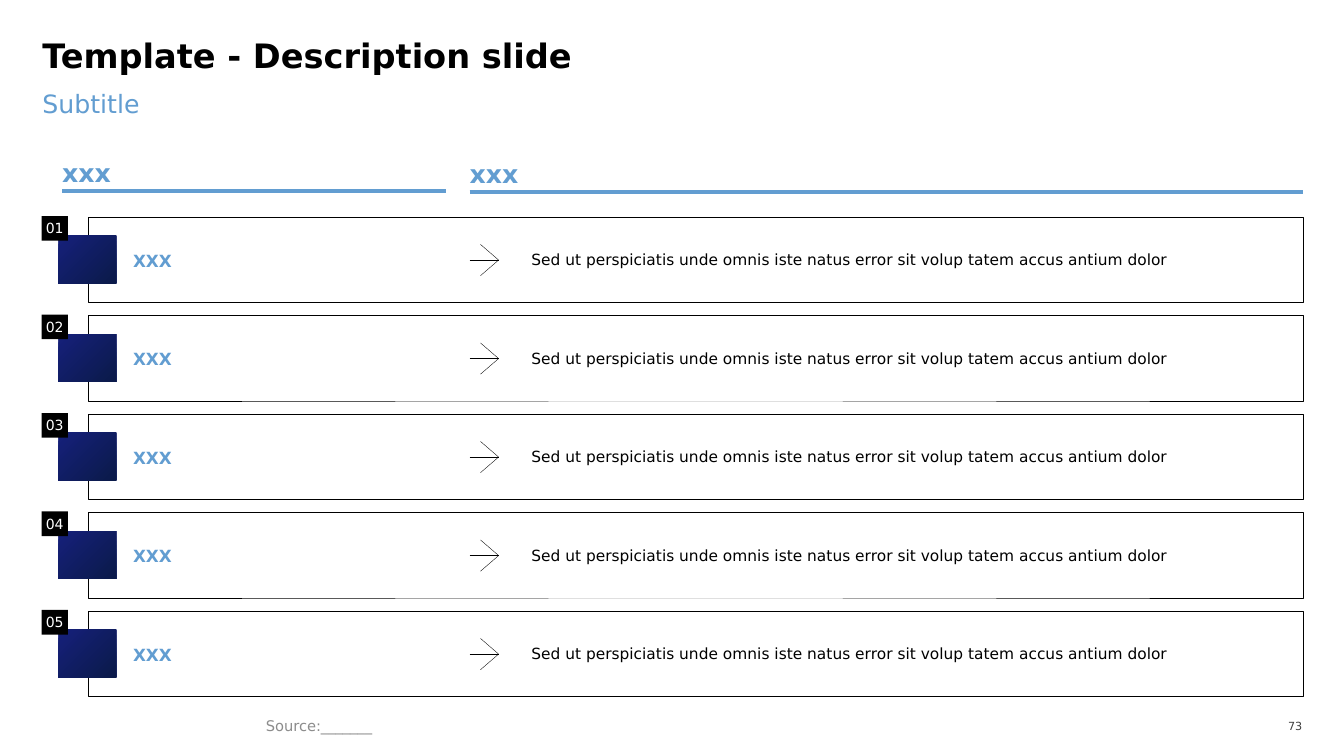
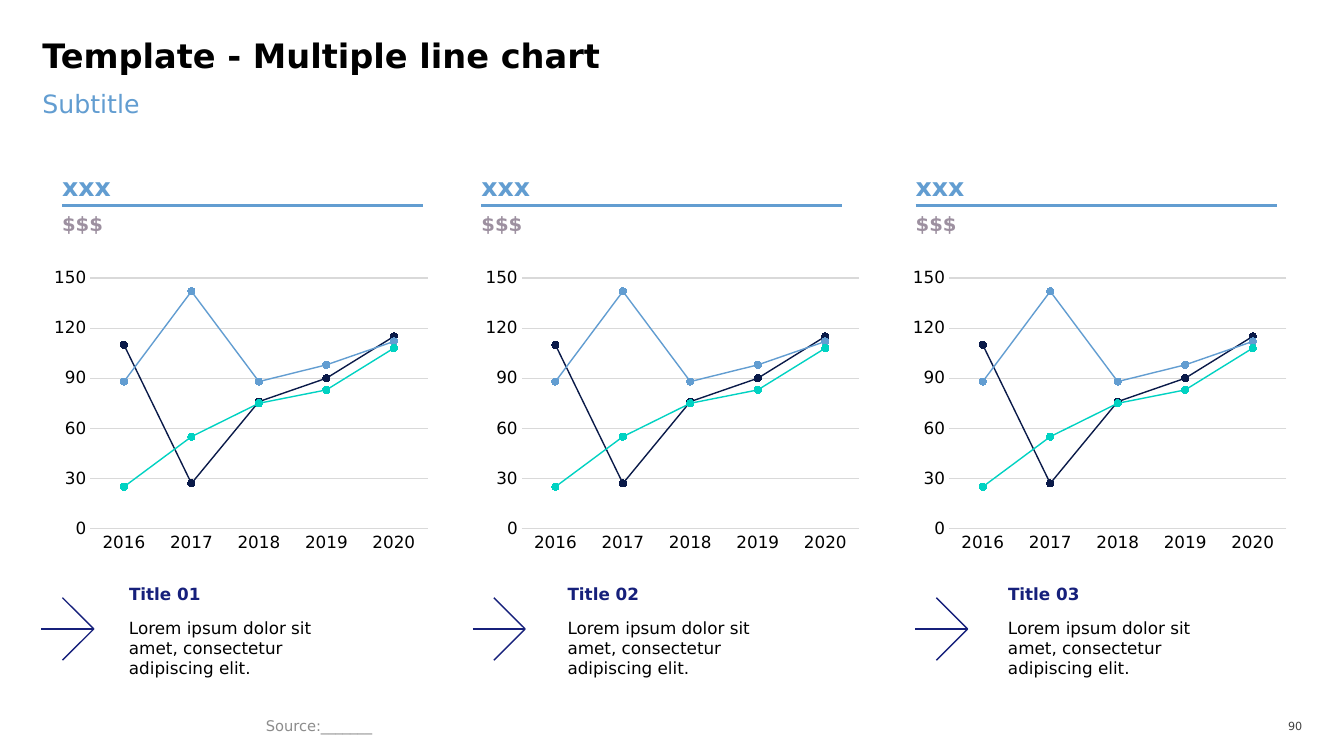
from dataclasses import dataclass

from lxml import etree
from pptx import Presentation
from pptx.chart.data import CategoryChartData
from pptx.dml.color import RGBColor
from pptx.enum.chart import XL_CHART_TYPE, XL_MARKER_STYLE, XL_TICK_MARK
from pptx.enum.shapes import MSO_CONNECTOR, MSO_SHAPE
from pptx.enum.text import MSO_ANCHOR, MSO_AUTO_SIZE, PP_ALIGN
from pptx.oxml.ns import qn
from pptx.util import Inches, Pt

RECT, STRAIGHT = MSO_SHAPE.RECTANGLE, MSO_CONNECTOR.STRAIGHT
TOP, MIDDLE, BOTTOM = MSO_ANCHOR.TOP, MSO_ANCHOR.MIDDLE, MSO_ANCHOR.BOTTOM
LEFT, CENTER, RIGHT = PP_ALIGN.LEFT, PP_ALIGN.CENTER, PP_ALIGN.RIGHT
NO_FIT = MSO_AUTO_SIZE.NONE
LINE_MARKERS, CIRCLE = XL_CHART_TYPE.LINE_MARKERS, XL_MARKER_STYLE.CIRCLE
NO_TICK = XL_TICK_MARK.NONE
BLANK_INSETS = (0, 0, 0, 0)


@dataclass(frozen=True)
class Theme:
    width: float = 13.33
    height: float = 7.5
    font: str = "DejaVu Sans"
    black: str = "000000"
    white: str = "FFFFFF"
    sky: str = "629DD1"
    blue: str = "16207B"
    navy: str = "0A1A49"
    teal: str = "00D2C2"
    mauve: str = "9D90A0"
    grey: str = "8C8C8C"
    charcoal: str = "404040"
    rule: str = "D9D9D9"


T = Theme()

# Text styles: size, colour and weight
STYLES = {
    "title": dict(size=24, color=T.black, bold=True),
    "subtitle": dict(size=18, color=T.sky),
    "heading": dict(size=18, color=T.sky, bold=True),
    "unit": dict(size=14, color=T.mauve, bold=True),
    "label": dict(size=12, color=T.sky, bold=True),
    "caption": dict(size=12, color=T.blue, bold=True),
    "body": dict(size=12, color=T.black),
    "sentence": dict(size=11, color=T.black),
    "badge": dict(size=10, color=T.white),
    "source": dict(size=10.5, color=T.grey),
    "number": dict(size=8, color=T.charcoal),
}

YEARS = ["2016", "2017", "2018", "2019", "2020"]
SERIES = [
    ("Series 1", (110, 27, 76, 90, 115), T.navy),
    ("Series 2", (88, 142, 88, 98, 112), T.sky),
    ("Series 3", (25, 55, 75, 83, 108), T.teal),
]
SENTENCE = ("Sed ut perspiciatis unde omnis iste natus error sit volup tatem "
            "accus antium dolor")
LOREM = "Lorem ipsum dolor sit amet, consectetur adipiscing elit."


def across(share):
    """Length for a percentage of the slide's width."""
    return Inches(T.width * share / 100)


def down(share):
    """Length for a percentage of the slide's height."""
    return Inches(T.height * share / 100)


def area(x, y, w, h):
    return across(x), down(y), across(w), down(h)


def rgb(color):
    return RGBColor.from_string(color)


def set_all(obj, values):
    for name, value in values.items():
        setattr(obj, name, value)


def format_font(font, size, color, bold=False):
    set_all(font, dict(name=T.font, size=Pt(size), bold=bold))
    font.color.rgb = rgb(color)


def write(tf, text, style, anchor=TOP, align=LEFT, insets=BLANK_INSETS, **para):
    """Fill a text frame; insets are left, top, right, bottom in inches."""
    sides = ("margin_left", "margin_top", "margin_right", "margin_bottom")
    set_all(tf, dict(zip(sides, map(Inches, insets))))
    set_all(tf, dict(word_wrap=True, auto_size=NO_FIT, vertical_anchor=anchor))
    p = tf.paragraphs[0]
    set_all(p, dict(alignment=align, **para))
    r = p.add_run()
    r.text = text
    format_font(r.font, **STYLES[style])


def add_text(s, box, text, style, **layout):
    write(s.shapes.add_textbox(*area(*box)).text_frame, text, style, **layout)


def add_rect(s, box, fill=None, line=None):
    sp = s.shapes.add_shape(RECT, *area(*box))
    sp.shadow.inherit = False
    if fill:
        sp.fill.solid()
        sp.fill.fore_color.rgb = rgb(fill)
    else:
        sp.fill.background()
    if line:
        sp.line.color.rgb = rgb(line)
        sp.line.width = Pt(0.25)
    else:
        sp.line.fill.background()
    return sp


def add_line(shapes, start, end, color, width):
    c = shapes.add_connector(STRAIGHT, across(start[0]), down(start[1]),
                             across(end[0]), down(end[1]))
    c.line.color.rgb = rgb(color)
    c.line.width = Pt(width)
    etree.SubElement(c._element.spPr, qn("a:effectLst"))


def add_arrow(s, x, y, w, back, rise, color, width):
    """Open arrow pointing right; back and rise give the size of its head."""
    shapes = s.shapes.add_group_shape().shapes
    tip = (x + w, y)
    for start in ((x, y), (x + w - back, y - rise), (x + w - back, y + rise)):
        add_line(shapes, start, tip, color, width)


def add_heading(s, x, y, w):
    add_text(s, (x, y, w, 4.53), "xxx", "heading", anchor=BOTTOM)
    add_line(s.shapes, (x, y + 5), (x + w, y + 5), T.sky, 2.25)


def add_slide(prs, title, number):
    """Slide with the shared title, subtitle, source and number."""
    s = prs.slides.add_slide(prs.slide_layouts[1])
    head, sub = s.placeholders
    for sp, box in ((head, (3.15, 5.6, 93.7, 7.07)),
                    (sub, (3.15, 11.73, 93.7, 8.4))):
        set_all(sp, dict(zip(("left", "top", "width", "height"), area(*box))))
    write(head.text_frame, title, "title", line_spacing=0.8)
    pPr = sub.text_frame.paragraphs[0]._p.get_or_add_pPr()
    pPr.set("marL", "0")
    pPr.set("indent", "0")
    etree.SubElement(pPr, qn("a:buNone"))
    write(sub.text_frame, "Subtitle", "subtitle",
          space_before=Pt(0), space_after=Pt(12))
    add_text(s, (19.05, 94.27, 47.9, 3.47), "Source:_______", "source",
             anchor=MIDDLE, insets=(0.1, 0.05, 0.1, 0.05))
    add_text(s, (93.75, 94.53, 3.15, 3.07), str(number), "number",
             anchor=MIDDLE, align=RIGHT)
    return s


def add_row(s, y, number):
    """Framed row with badge, gradient tile, label, arrow and sentence."""
    add_rect(s, (6.53, y, 90.45, 11.33), line=T.black)
    label = add_rect(s, (9.9, y + 3.33, 24, 4.4), fill=T.white)
    write(label.text_frame, "XXX", "label", anchor=MIDDLE,
          insets=(0, 0.12, 0.12, 0.08))
    add_text(s, (39.53, y + 4.53, 54, 2.27), SENTENCE, "sentence", anchor=MIDDLE)
    tile = add_rect(s, (4.35, y + 2.53, 4.3, 6.27))
    tile.fill.gradient()
    tile.fill.gradient_angle = 315
    for stop, color in zip(tile.fill.gradient_stops, (T.blue, T.navy)):
        stop.color.rgb = rgb(color)
    badge = add_rect(s, (3.1, y - 0.1, 1.95, 3.25), fill=T.black)
    write(badge.text_frame, f"{number:02}", "badge", anchor=MIDDLE, align=CENTER)
    add_arrow(s, 34.95, y + 5.73, 2.15, 1.35, 2.07, T.black, 0.25)


def add_line_chart(s, box):
    data = CategoryChartData()
    data.categories = YEARS
    for name, values, _ in SERIES:
        data.add_series(name, values)
    chart = s.shapes.add_chart(LINE_MARKERS, *area(*box), data).chart
    set_all(chart, dict(has_title=False, has_legend=False))
    format_font(chart.font, **STYLES["body"])
    chart.plots[0].vary_by_categories = False

    for series, (_, _, color) in zip(chart.plots[0].series, SERIES):
        series.smooth = False
        series.format.line.color.rgb = rgb(color)
        series.format.line.width = Pt(1)
        set_all(series.marker, dict(style=CIRCLE, size=5))
        series.marker.format.fill.solid()
        series.marker.format.fill.fore_color.rgb = rgb(color)
        series.marker.format.line.color.rgb = rgb(color)

    cats, vals = chart.category_axis, chart.value_axis
    for axis in (cats, vals):
        set_all(axis, dict(major_tick_mark=NO_TICK, minor_tick_mark=NO_TICK))
        format_font(axis.tick_labels.font, **STYLES["body"])
    set_all(vals, dict(minimum_scale=0, maximum_scale=150, major_unit=30,
                       has_major_gridlines=True))
    vals.format.line.fill.background()
    for line in (cats.format.line, vals.major_gridlines.format.line):
        line.color.rgb = rgb(T.rule)
        line.width = Pt(0.75)


def add_panel(s, number, heading_x, chart_x, arrow_x, caption_x):
    """Headed chart with an arrow and a caption below it."""
    add_heading(s, heading_x, 22.13, 26.85)
    add_text(s, (heading_x, 28, 9.9, 4.53), "$$$", "unit")
    add_line_chart(s, (chart_x, 34.67, 28.95, 39.2))
    add_arrow(s, arrow_x, 83.2, 3.9, 2.33, 4.13, T.blue, 1)
    insets = (0, 0.05, 0.1, 0.05)
    add_text(s, (caption_x, 76.4, 11.25, 4.13), f"Title {number:02}", "caption",
             anchor=BOTTOM, insets=insets)
    add_text(s, (caption_x, 81.07, 15.6, 12.13), LOREM, "body", insets=insets)


def build_description(prs):
    s = add_slide(prs, "Template - Description slide", 73)
    add_heading(s, 4.62, 20.27, 28.6)
    add_heading(s, 34.95, 20.4, 62.03)
    for i in range(5):
        add_row(s, 28.67 + 13.03 * i, i + 1)


def build_line_charts(prs):
    s = add_slide(prs, "Template - Multiple line chart", 90)
    # Left edges of heading, chart, arrow and caption
    panels = [(4.62, 3.45, 3.08, 9.6),
              (35.82, 35.55, 35.18, 42.23),
              (68.13, 67.35, 68.1, 75)]
    for number, edges in enumerate(panels, 1):
        add_panel(s, number, *edges)


def main():
    prs = Presentation()
    prs.slide_width, prs.slide_height = Inches(T.width), Inches(T.height)
    build_description(prs)
    build_line_charts(prs)
    prs.save("out.pptx")


if __name__ == "__main__":
    main()
